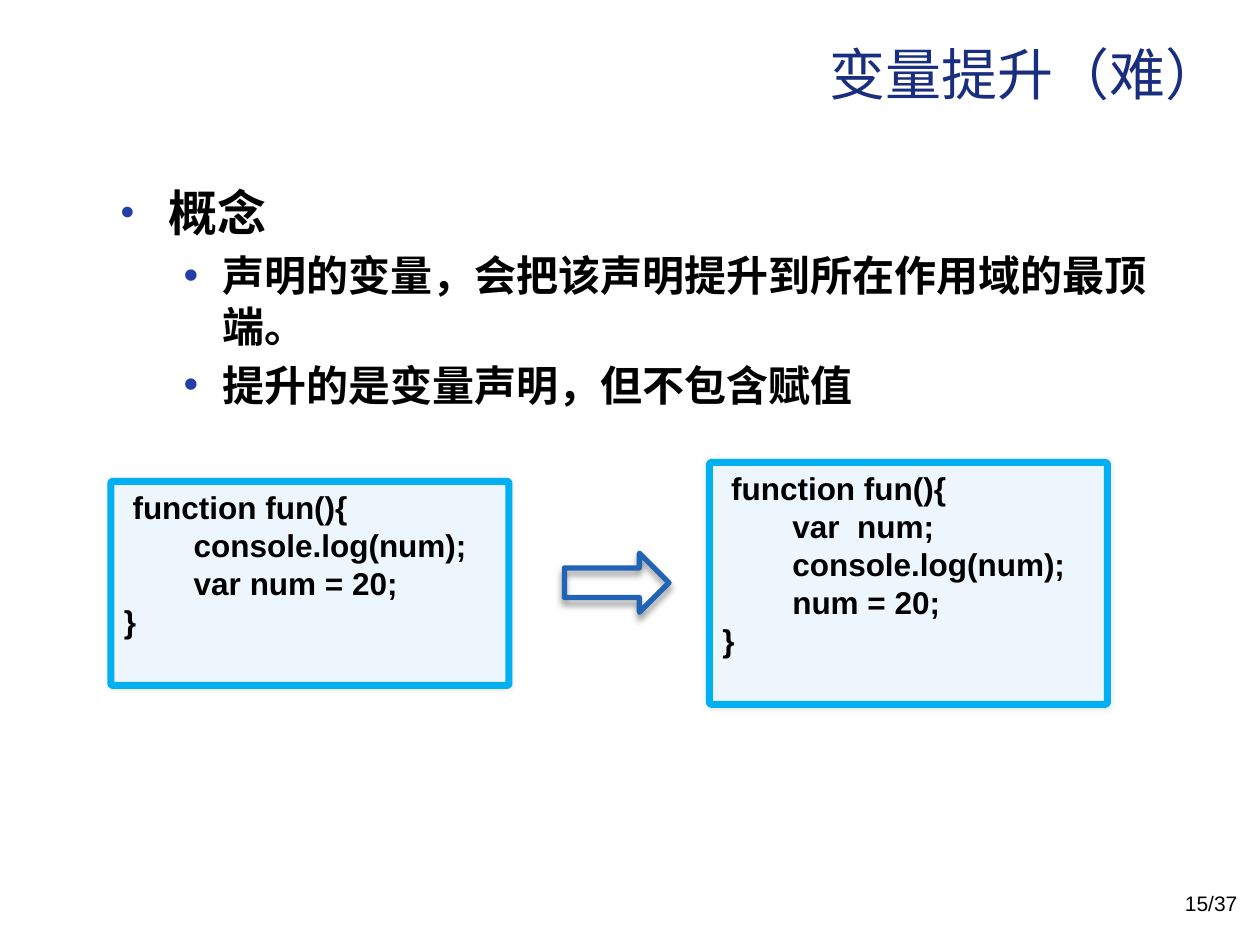
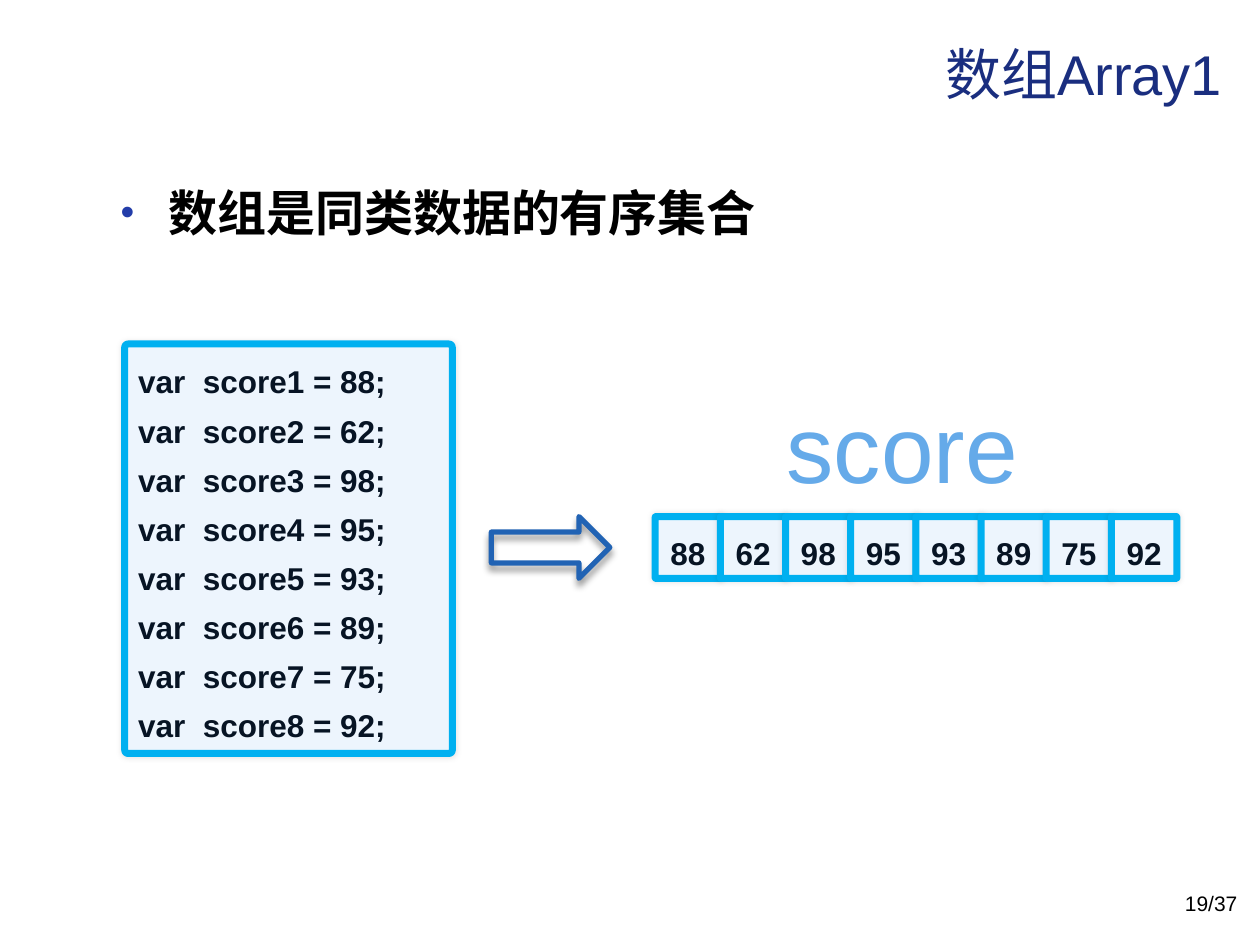
import dataclasses

import lxml.etree
import pptx
import pptx.dml.color
import pptx.enum.shapes
import pptx.enum.text
import pptx.oxml.ns
import pptx.util

Inches = pptx.util.Inches
Pt = pptx.util.Pt
RGB = pptx.dml.color.RGBColor.from_string
SHAPES = pptx.enum.shapes.MSO_SHAPE
ALIGN = pptx.enum.text.PP_ALIGN
ANCHOR = pptx.enum.text.MSO_ANCHOR
qn = pptx.oxml.ns.qn


@dataclasses.dataclass(frozen=True)
class Theme:
    font: str = "Arial"
    title: str = "1A2E7F"
    text: str = "000000"
    score_text: str = "071424"
    bullet: str = "233DA9"
    panel: str = "EDF5FD"
    panel_line: str = "00B0F0"
    arrow: str = "2163B4"
    array_name: str = "65AAE9"
    title_size: int = 32
    point_sizes: tuple = (28, 24)
    code_size: int = 18
    page_size: int = 12
    name_size: int = 54


THEME = Theme()


def write(frame, lines, *, size, color=THEME.text, bold=False,
          align=ALIGN.LEFT, anchor=ANCHOR.TOP, spacing=None):
    """Fill a text frame, one paragraph per line."""
    frame.word_wrap = True
    frame.auto_size = pptx.enum.text.MSO_AUTO_SIZE.NONE
    frame.vertical_anchor = anchor
    for index, line in enumerate(lines):
        paragraph = frame.add_paragraph() if index else frame.paragraphs[0]
        paragraph.alignment = align
        if spacing:
            paragraph.line_spacing = spacing
        run = paragraph.add_run()
        run.text = line
        run.font.name = THEME.font
        run.font.size = Pt(size)
        run.font.bold = bold
        run.font.color.rgb = RGB(color)


def add_bullet(paragraph, level):
    margin, hanging = ((0.38, 0.38), (0.81, 0.31))[level]
    properties = paragraph._p.get_or_add_pPr()
    properties.set("marL", str(Inches(margin)))
    properties.set("indent", str(-Inches(hanging)))
    color = lxml.etree.SubElement(properties, qn("a:buClr"))
    lxml.etree.SubElement(color, qn("a:srgbClr"), val=THEME.bullet)
    if level == 0:
        lxml.etree.SubElement(properties, qn("a:buSzPct"), val="80000")
    lxml.etree.SubElement(properties, qn("a:buFont"), typeface=THEME.font)
    lxml.etree.SubElement(properties, qn("a:buChar"), char="•")


def add_shadow(shape, *, opacity, blur, distance=0, angle=0):
    shape.shadow.inherit = False
    effects = shape._element.spPr.find(qn("a:effectLst"))
    shadow = lxml.etree.SubElement(
        effects, qn("a:outerShdw"), blurRad=str(Pt(blur)),
        dist=str(Pt(distance)), dir=str(angle * 60000), rotWithShape="0")
    color = lxml.etree.SubElement(shadow, qn("a:srgbClr"), val="000000")
    lxml.etree.SubElement(color, qn("a:alpha"), val=str(opacity * 1000))


class Deck:
    def __init__(self):
        self.presentation = pptx.Presentation()
        self.presentation.slide_width = Inches(10)
        self.presentation.slide_height = Inches(7.5)
        self.slide = None

    def new_slide(self, title, page):
        blank = self.presentation.slide_layouts[6]
        self.slide = self.presentation.slides.add_slide(blank)
        self.text([title], 0.8, 0.09, 9, 0.98, size=THEME.title_size,
                  color=THEME.title, align=ALIGN.RIGHT, anchor=ANCHOR.MIDDLE)
        self.text([f"{page}/37"], 7.59, 7.02, 2.33, 0.4,
                  size=THEME.page_size, align=ALIGN.RIGHT)

    def text(self, lines, left, top, width, height, **style):
        box = self.slide.shapes.add_textbox(
            Inches(left), Inches(top), Inches(width), Inches(height))
        write(box.text_frame, lines, **style)
        return box.text_frame

    def points(self, heading, *details):
        """Add a bulleted heading with its second-level points."""
        frame = self.text([heading, *details], 0.86, 1.4, 8.36, 5.48,
                          size=THEME.point_sizes[0], bold=True)
        for index, paragraph in enumerate(frame.paragraphs):
            level = min(index, 1)
            size = THEME.point_sizes[level]
            paragraph.level = level
            if index:
                paragraph.space_before = Pt(size * 0.2)
            add_bullet(paragraph, level)
            paragraph.runs[0].font.size = Pt(size)

    def shape(self, preset, left, top, width, height, line, line_width):
        shape = self.slide.shapes.add_shape(
            preset, Inches(left), Inches(top), Inches(width), Inches(height))
        shape.line.color.rgb = RGB(line)
        shape.line.width = Pt(line_width)
        return shape

    def panel(self, lines, left, top, width, height, **style):
        panel = self.shape(SHAPES.ROUNDED_RECTANGLE, left, top, width, height,
                           THEME.panel_line, 4)
        panel.adjustments[0] = 0.01
        panel.fill.solid()
        panel.fill.fore_color.rgb = RGB(THEME.panel)
        add_shadow(panel, opacity=10, blur=3)
        write(panel.text_frame, lines, size=THEME.code_size, bold=True, **style)

    def arrow(self, left, top, width, height):
        arrow = self.shape(SHAPES.RIGHT_ARROW, left, top, width, height,
                           THEME.arrow, 3)
        arrow.fill.background()
        add_shadow(arrow, opacity=40, blur=4, distance=3, angle=90)


def hoisting_slide(deck):
    deck.new_slide("变量提升（难）", 15)
    deck.points("概念",
                "声明的变量，会把该声明提升到所在作用域的最顶端。",
                "提升的是变量声明，但不包含赋值")
    written = [" function fun(){",
               "        console.log(num);",
               "        var num = 20;",
               "}"]
    hoisted = [" function fun(){",
               "        var  num;",
               "        console.log(num);",
               "        num = 20;",
               "}"]
    deck.panel(written, 0.88, 3.82, 3.16, 1.62)
    deck.panel(hoisted, 5.63, 3.67, 3.16, 1.92)
    deck.arrow(4.48, 4.39, 0.83, 0.47)


def array_slide(deck):
    deck.new_slide("数组Array1", 19)
    deck.points("数组是同类数据的有序集合")
    scores = [88, 62, 98, 95, 93, 89, 75, 92]
    score_style = {"color": THEME.score_text, "spacing": 1.3}
    declarations = [f"var  score{number} = {score};"
                    for number, score in enumerate(scores, 1)]
    deck.panel(declarations, 0.99, 2.73, 2.6, 3.25, **score_style)

    first_left, last_left = 5.2, 8.82
    pitch = (last_left - first_left) / (len(scores) - 1)
    for index, score in enumerate(scores):
        deck.panel([str(score)], first_left + index * pitch, 4.1, 0.52, 0.49,
                   align=ALIGN.CENTER, **score_style)
    array_name = deck.text(["score"], 5.71, 2.96, 2.9, 1.92,
                           size=THEME.name_size, color=THEME.array_name,
                           align=ALIGN.CENTER)
    array_name.margin_top = Inches(0.13)
    deck.arrow(3.9, 4.1, 0.94, 0.49)


def main():
    deck = Deck()
    hoisting_slide(deck)
    array_slide(deck)
    deck.presentation.save("out.pptx")


if __name__ == "__main__":
    main()
